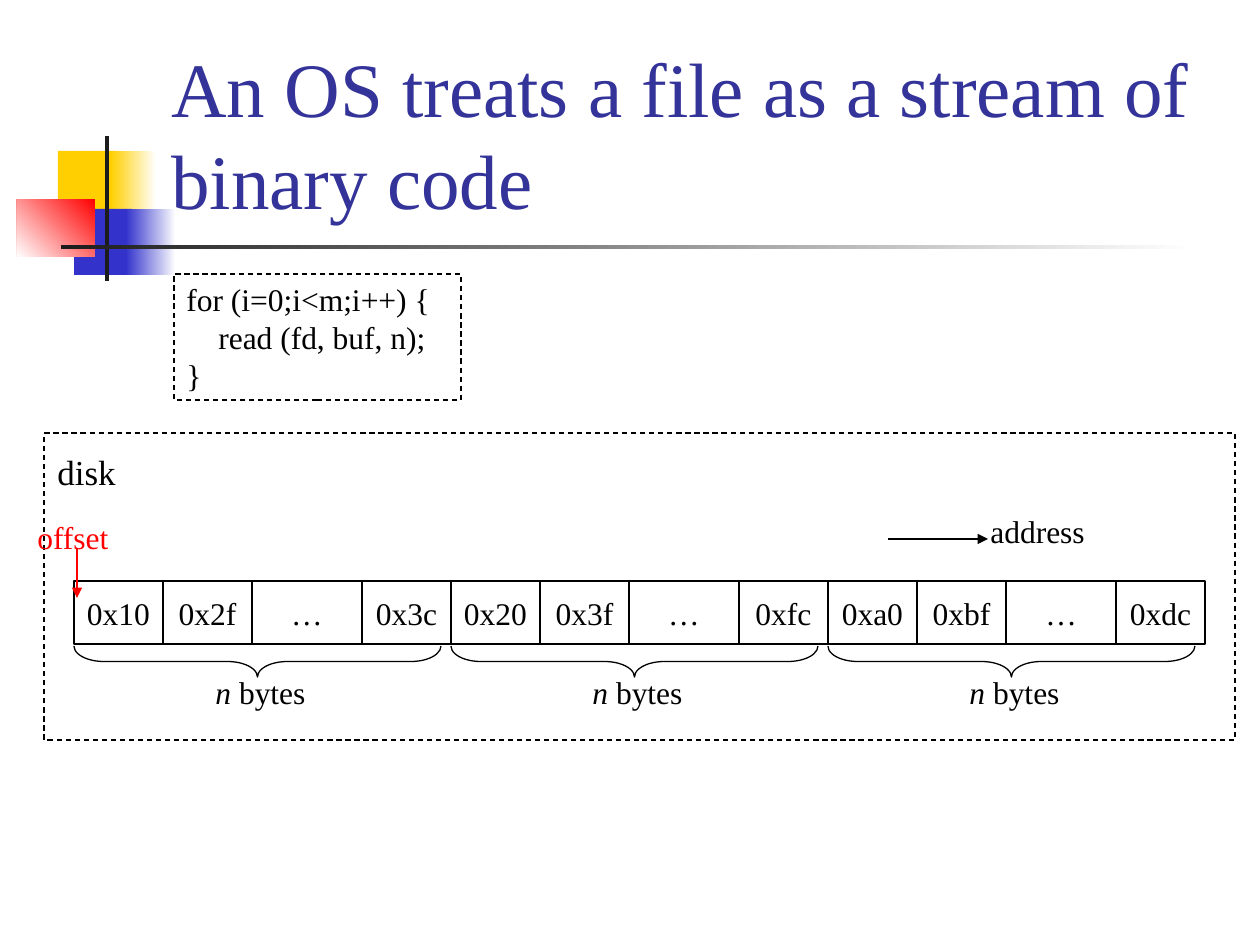
from lxml import etree
from pptx import Presentation, util as u
from pptx.dml.color import RGBColor
from pptx.enum import dml, shapes, text
from pptx.oxml.ns import qn

PX = 914400 / 126
BLACK, WHITE, RED = "000000", "FFFFFF", "FF0000"
MIDDLE = text.MSO_ANCHOR.MIDDLE
RECT = shapes.MSO_SHAPE.RECTANGLE

prs = Presentation()
prs.slide_width, prs.slide_height = u.Inches(10), u.Inches(7.5)
s = prs.slides.add_slide(prs.slide_layouts[6])


def add_box(box, kind=RECT, fill=None, line=None, dash=False):
    """Add a preset shape; a pair of fills makes a gradient at the given angle."""
    sp = s.shapes.add_shape(kind, *[round(v * PX) for v in box])
    sp.shadow.inherit = False
    if fill is None:
        sp.fill.background()
    elif isinstance(fill, str):
        sp.fill.solid()
        sp.fill.fore_color.rgb = RGBColor.from_string(fill)
    else:
        start, end, angle = fill
        sp.fill.gradient()
        sp.fill.gradient_angle = angle
        for stop, color in zip(sp.fill.gradient_stops, (start, end)):
            stop.color.rgb = RGBColor.from_string(color)
    if line:
        sp.line.color.rgb = RGBColor.from_string(line)
        sp.line.width = u.Pt(0.74)
        if dash:
            sp.line.dash_style = dml.MSO_LINE.DASH
    else:
        sp.line.fill.background()
    return sp


def write(sp, lines, size=18, color=BLACK, align=text.PP_ALIGN.LEFT,
          anchor=text.MSO_ANCHOR.TOP, wrap=False):
    """Fill a shape with lines, each a list of (text, italic) runs."""
    tf = sp.text_frame
    tf.word_wrap, tf.vertical_anchor = wrap, anchor
    for i, runs in enumerate(lines):
        p = tf.paragraphs[0] if i == 0 else tf.add_paragraph()
        p.alignment = align
        for content, italic in runs:
            r = p.add_run()
            r.text = content
            r.font.name, r.font.size, r.font.italic = "Times New Roman", u.Pt(size), italic
            r.font.color.rgb = RGBColor.from_string(color)
    return tf


# Corner decoration and title rule
for box, fill in [
    ((58, 151, 60, 66), "FFCF01"),
    ((111, 151, 45, 66), (WHITE, "FFCF01", 180)),
    ((74, 209, 58, 66), "3333CC"),
    ((126, 209, 50, 66), (WHITE, "3333CC", 180)),
    ((17, 199, 78, 58), (RED, WHITE, 225)),
    ((105, 136, 4, 145), "1C1C1C"),
    ((61, 245, 1134, 4), (WHITE, "1C1C1C", 180)),
]:
    add_box(box, fill=fill)

# Title
title = s.shapes.add_textbox(*[round(v * PX) for v in (159, 29, 1074, 202)])
write(title, [[("An OS treats a file as a stream of binary code", False)]],
      size=44, color="333399", anchor=text.MSO_ANCHOR.BOTTOM, wrap=True)

# Code box
code = add_box((174, 274, 287, 126), line=BLACK, dash=True)
tf = write(code, [[(row, False)] for row in ("for (i=0;i<m;i++) {", "read (fd, buf, n);", "}")],
           anchor=MIDDLE, wrap=True)
tf.paragraphs[1]._p.get_or_add_pPr().set("marL", str(round(32 * PX)))

# Disk outline
add_box((44, 433, 1191, 307), line=BLACK, dash=True)

# Byte cells with a brace under each block
cell_widths = (89, 89, 110, 89)
blocks = [
    ("0x10", "0x2f", "…", "0x3c"),
    ("0x20", "0x3f", "…", "0xfc"),
    ("0xa0", "0xbf", "…", "0xdc"),
]
labels = [
    ((45, 444, 90, 55), [("disk", False)], 20, BLACK),
    ((25, 512, 100, 50), [("offset", False)], 18, RED),
    ((978, 506, 124, 50), [("address", False)], 18, BLACK),
]
for i, values in enumerate(blocks):
    left = 74 + i * sum(cell_widths)
    for j, (value, width) in enumerate(zip(values, cell_widths)):
        cell = add_box((left + sum(cell_widths[:j]), 581, width, 63), line=BLACK)
        write(cell, [[(value, False)]], align=text.PP_ALIGN.CENTER, anchor=MIDDLE)
    brace = add_box((left + 168, 478, 31, 367), shapes.MSO_SHAPE.LEFT_BRACE, line=BLACK)
    brace.rotation = 270
    brace.adjustments[0], brace.adjustments[1] = 0.965, 0.5
    labels.append(((left + 129, 667, 118, 50), [("n", True), (" bytes", False)], 18, BLACK))

# Labels
for box, runs, size, color in labels:
    label = s.shapes.add_textbox(*[round(v * PX) for v in box])
    write(label, [runs], size=size, color=color, wrap=True)

# Address and offset arrows
for ends, color in [((888, 539, 988, 539), BLACK), ((77, 549, 77, 598), RED)]:
    arrow = s.shapes.add_connector(shapes.MSO_CONNECTOR.STRAIGHT,
                                   *[round(v * PX) for v in ends])
    arrow.line.color.rgb = RGBColor.from_string(color)
    arrow.line.width = u.Pt(0.74)
    etree.SubElement(arrow.line._get_or_add_ln(), qn("a:tailEnd"), type="triangle")
    etree.SubElement(arrow._element.spPr, qn("a:effectLst"))

prs.save("out.pptx")
